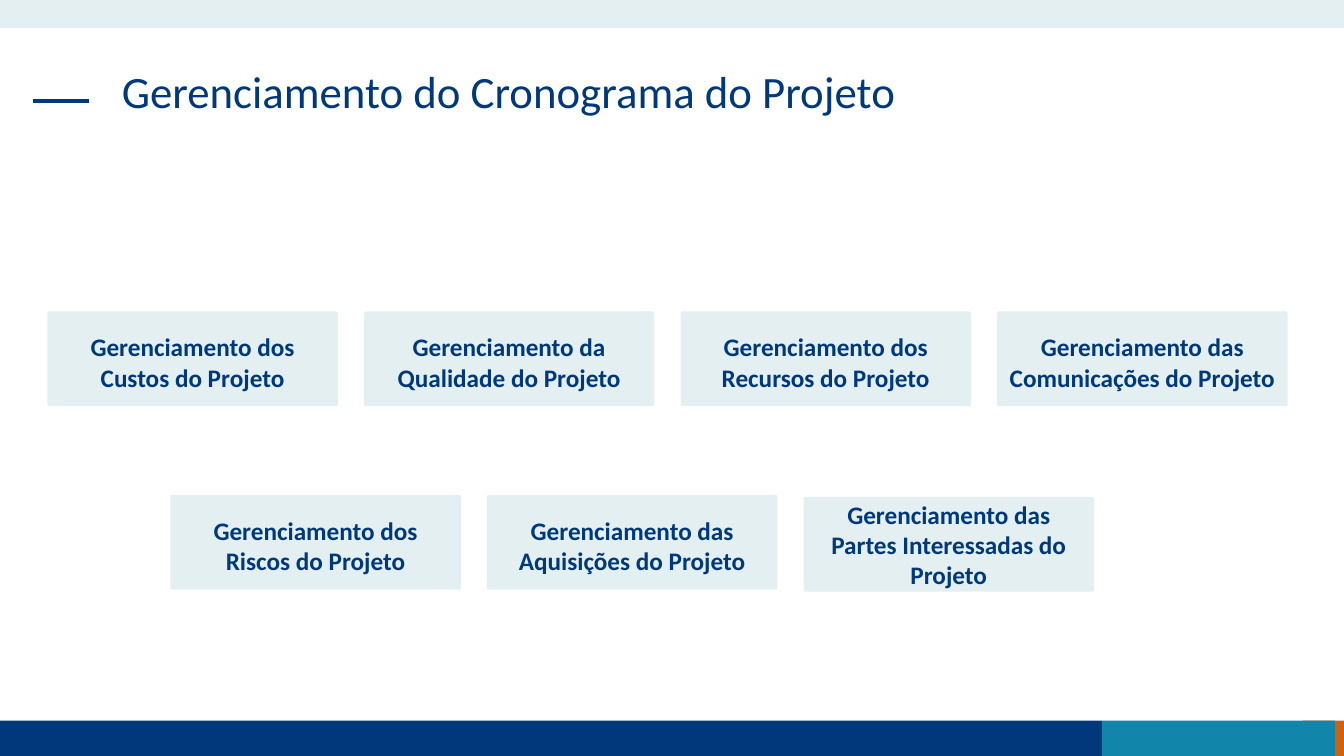
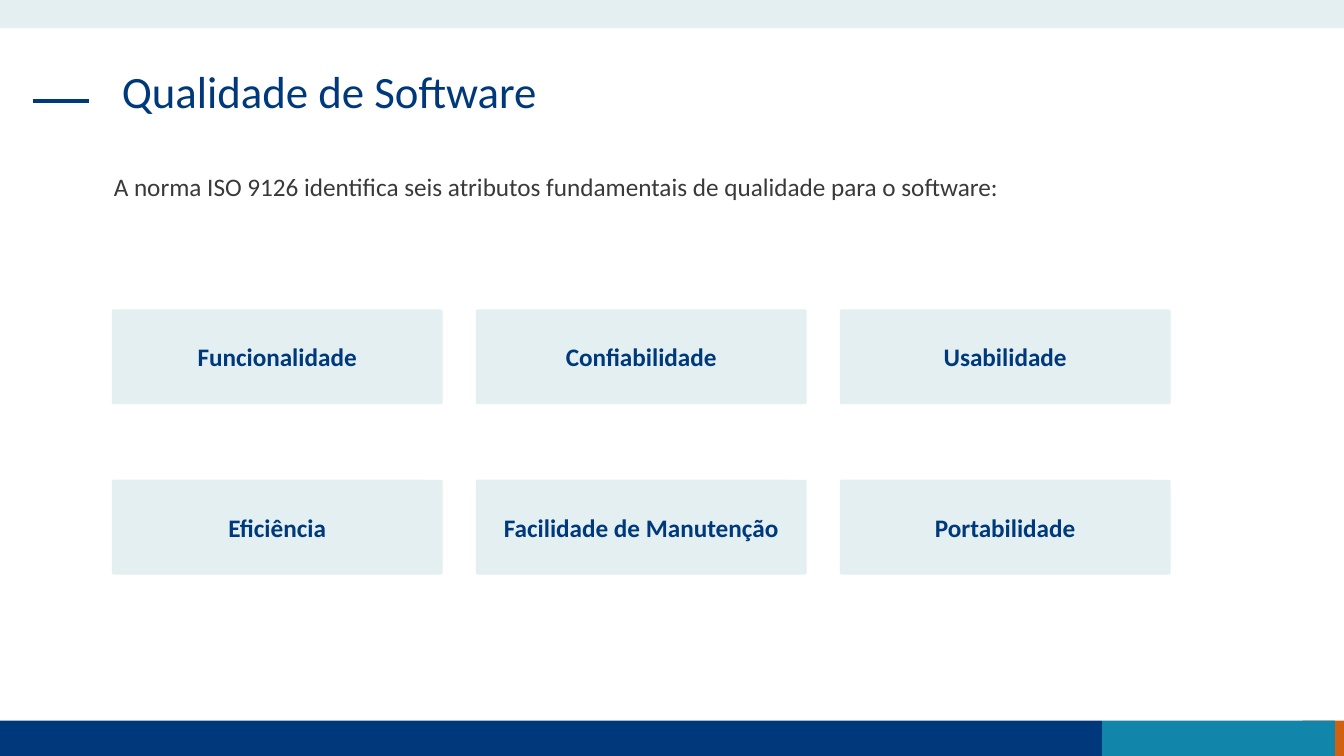
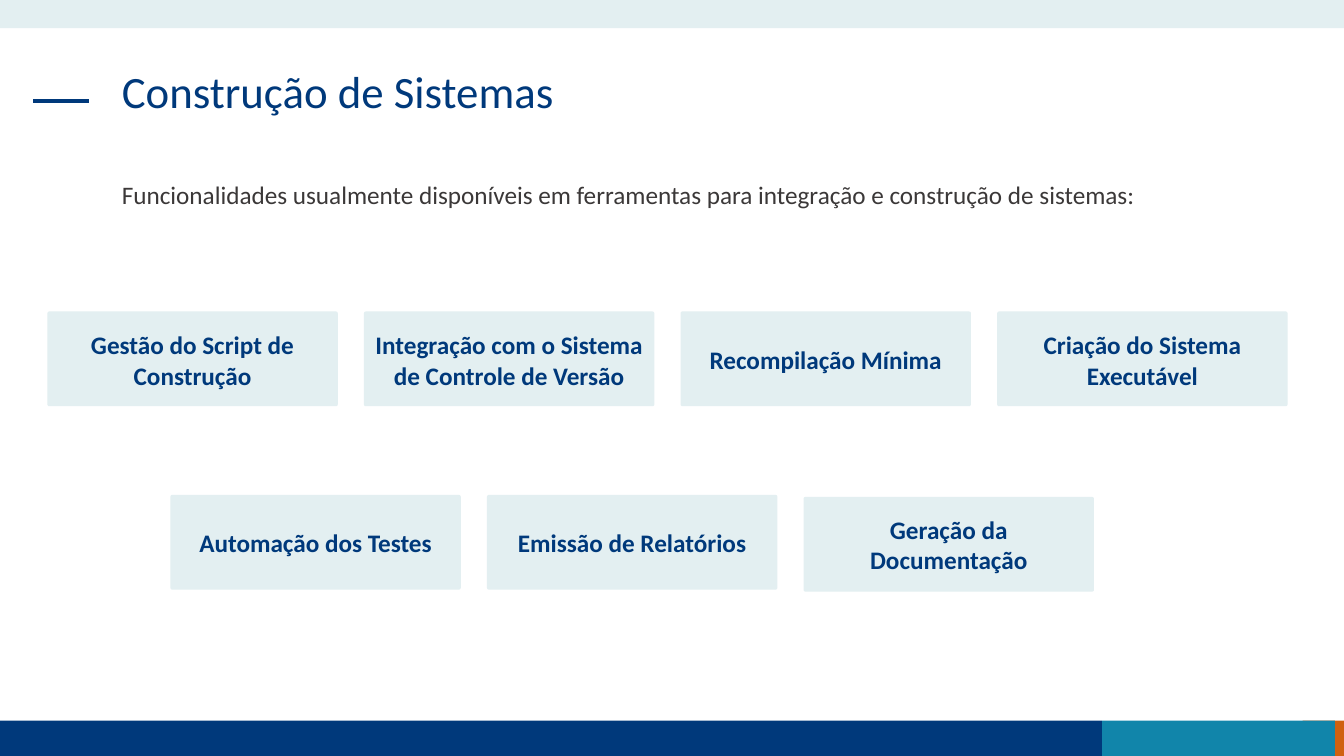
from pptx import Presentation
from pptx.dml.color import RGBColor
from pptx.enum.shapes import MSO_CONNECTOR as CONN, MSO_SHAPE as SHAPE
from pptx.enum.text import MSO_ANCHOR as ANCHOR, PP_ALIGN as ALIGN
from pptx.oxml.ns import qn
from pptx.util import Inches, Pt
from lxml import etree

# Shared look
NAVY, TEAL, ORANGE, PALE, GREY = "00397B", "1185AA", "D06110", "E3EFF1", "3B3838"
TITLE = {"size": Pt(32), "name": "Calibri", "bold": False}
BODY = {"size": Pt(18), "name": "Calibri", "bold": False}
LABEL = {"size": Pt(18), "name": "Calibri", "bold": True}
BANDS = [
    (12.92, 7.15, 0.41, 0.35, ORANGE),
    (0, 7.15, 10.93, 0.35, NAVY),
    (10.93, 7.15, 2.31, 0.35, TEAL),
    (0, 0, 13.33, 0.28, PALE),
]
CARD_H = 0.94
NARROW = (2.88, 0.26)  # card width, gap
WIDE = (3.28, 0.33)


def rgb(value):
    return RGBColor.from_string(value)


def write(tf, text, style, color, align=ALIGN.LEFT, spacing=None):
    tf.word_wrap = True
    p = tf.paragraphs[0]
    p.alignment = align
    p.line_spacing = spacing
    r = p.add_run()
    r.text = text
    for name, value in style.items():
        setattr(r.font, name, value)
    r.font.color.rgb = rgb(color)


def add_block(s, kind, left, top, width, height, color):
    sp = s.shapes.add_shape(kind, Inches(left), Inches(top),
                            Inches(width), Inches(height))
    sp.shadow.inherit = False
    sp.fill.solid()
    sp.fill.fore_color.rgb = rgb(color)
    sp.line.fill.background()
    return sp


def add_text(s, left, top, width, height, *args, anchor=ANCHOR.TOP, **kwargs):
    box = s.shapes.add_textbox(Inches(left), Inches(top),
                               Inches(width), Inches(height))
    box.text_frame.vertical_anchor = anchor
    write(box.text_frame, *args, **kwargs)


def add_rule(s, x1, x2, y):
    line = s.shapes.add_connector(CONN.STRAIGHT, Inches(x1), Inches(y),
                                  Inches(x2), Inches(y))
    line.line.color.rgb = rgb(NAVY)
    line.line.width = Pt(3)
    etree.SubElement(line._element.spPr, qn("a:effectLst"))


def add_slide(prs, title):
    s = prs.slides.add_slide(prs.slide_layouts[6])
    for *place, color in BANDS:
        add_block(s, SHAPE.RECTANGLE, *place, color)
    add_rule(s, 0.33, 0.88, 1)
    add_text(s, 1.11, 0.64, 11.1, 0.94, title, TITLE, NAVY, spacing=0.9)
    return s


def add_intro(s, left, top, width, text, align=ALIGN.LEFT):
    add_text(s, left, top, width, 0.4, text, BODY, GREY,
             align=align, anchor=ANCHOR.MIDDLE)


def add_cards(s, left, top, labels, size=NARROW, drop=0):
    """Row of equal cards; drop lowers the labels below the card centre."""
    width, gap = size
    for i, label in enumerate(labels):
        sp = add_block(s, SHAPE.ROUNDED_RECTANGLE,
                       left + i * (width + gap), top, width, CARD_H, PALE)
        sp.adjustments[0] = 0.02
        tf = sp.text_frame
        tf.vertical_anchor = ANCHOR.MIDDLE
        tf.margin_top, tf.margin_bottom = Inches(2 * drop), 0
        write(tf, label, LABEL, NAVY, ALIGN.CENTER)


def main():
    prs = Presentation()
    prs.slide_width, prs.slide_height = Inches(13.33), Inches(7.5)

    # Project management areas
    s = add_slide(prs, "Gerenciamento do Cronograma do Projeto")
    add_cards(s, 0.47, 3.09, [
        "Gerenciamento dos Custos do Projeto",
        "Gerenciamento da Qualidade do Projeto",
        "Gerenciamento dos Recursos do Projeto",
        "Gerenciamento das Comunicações do Projeto",
    ], drop=0.03)
    add_cards(s, 1.69, 4.91, [
        "Gerenciamento dos Riscos do Projeto",
        "Gerenciamento das Aquisições do Projeto",
    ], drop=0.03)
    add_cards(s, 7.97, 4.93,
              ["Gerenciamento das Partes Interessadas do Projeto"])

    # Software quality attributes
    s = add_slide(prs, "Qualidade de Software")
    add_intro(s, 1.03, 1.65, 11.19, "A norma ISO 9126 identifica seis atributos "
              "fundamentais de qualidade para o software:")
    add_cards(s, 1.11, 3.07,
              ["Funcionalidade", "Confiabilidade", "Usabilidade"], WIDE)
    add_cards(s, 1.11, 4.76,
              ["Eficiência", "Facilidade de Manutenção", "Portabilidade"], WIDE)

    # System building features
    s = add_slide(prs, "Construção de Sistemas")
    add_intro(s, 1.11, 1.73, 11.1, "Funcionalidades usualmente disponíveis em "
              "ferramentas para integração e construção de sistemas:",
              ALIGN.JUSTIFY)
    add_cards(s, 0.47, 3.09, [
        "Gestão do Script de Construção",
        "Integração com o Sistema de Controle de Versão",
        "Recompilação Mínima",
        "Criação do Sistema Executável",
    ], drop=0.01)
    add_cards(s, 1.69, 4.91, ["Automação dos Testes", "Emissão de Relatórios"])
    add_cards(s, 7.97, 4.93, ["Geração da Documentação"])

    prs.save("out.pptx")


if __name__ == "__main__":
    main()
